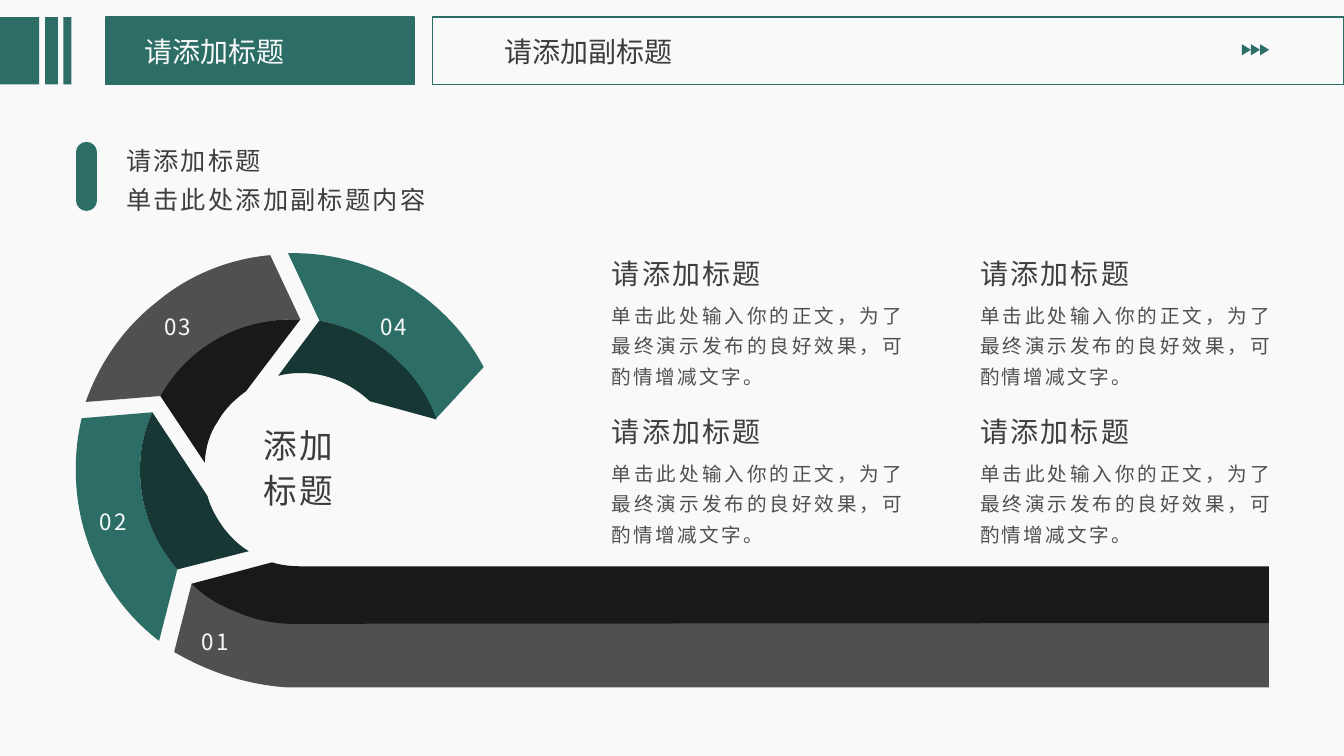
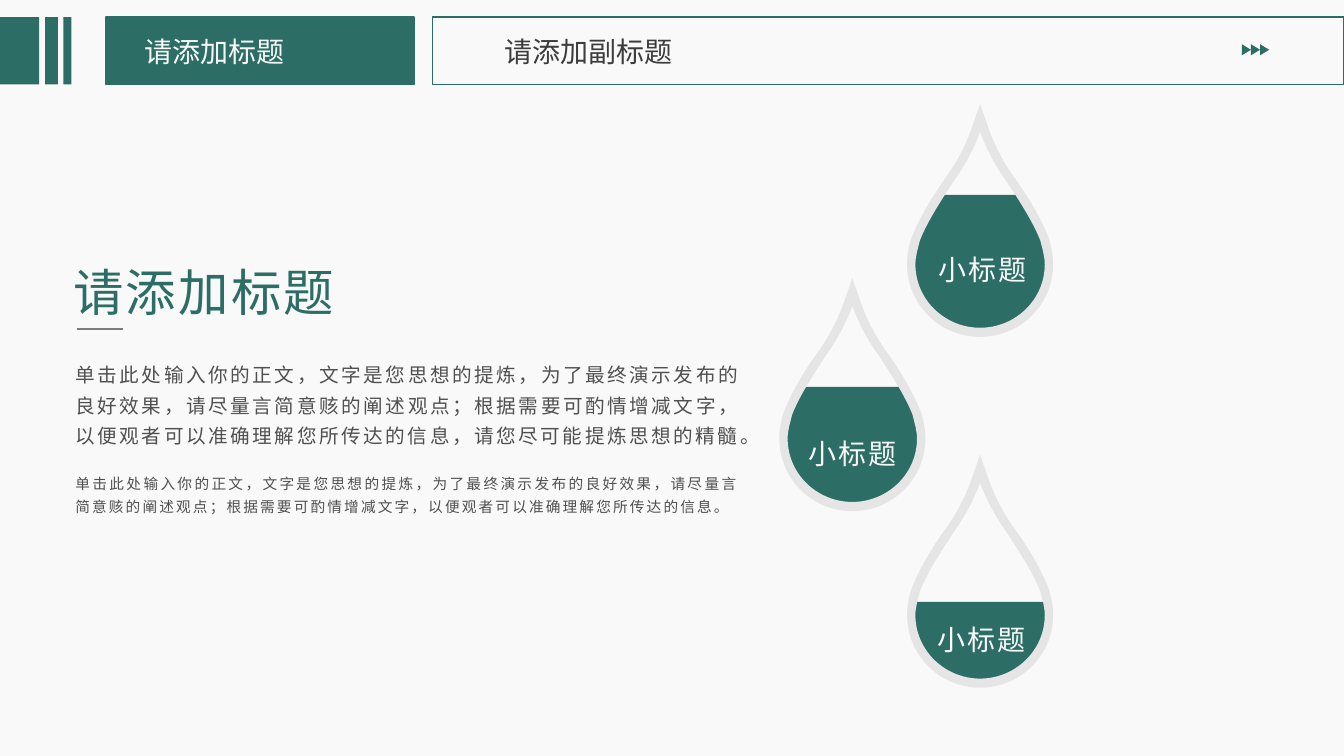
from dataclasses import dataclass
from typing import Optional

from lxml import etree
from pptx import Presentation
from pptx import util as u
from pptx.dml.color import RGBColor
from pptx.enum import shapes, text
from pptx.oxml.ns import qn


@dataclass(frozen=True)
class Theme:
    font: str = "Noto Sans CJK SC"
    paper: str = "F9F9F9"
    teal: str = "2C6E66"
    teal_dark: str = "163733"
    gray: str = "505050"
    black: str = "191919"
    ink: str = "3C3C3C"
    heading: str = "3E3E3E"
    rule: str = "7C7C7C"
    glass: str = "E5E5E5"
    display: float = 36
    center: float = 24
    title: float = 20
    intro: float = 18
    number: float = 16
    body: float = 14
    small: float = 10.5
    tracking: float = 1.6


THEME = Theme()
JUSTIFY = text.PP_ALIGN.JUSTIFY
Point = tuple[float, float]
# An outline row of two numbers is a corner; a row of six is a Bezier curve.
Outline = list[tuple[float, ...]]


@dataclass(frozen=True)
class TextStyle:
    size: float
    color: str
    align: Optional[text.PP_ALIGN] = None
    spacing: Optional[float] = 1.3
    after: Optional[float] = 6
    tracking: Optional[float] = THEME.tracking
    wrap: bool = True
    inset: bool = False


@dataclass(frozen=True)
class Segment:
    number: str
    left: float
    top: float
    face_color: str
    fold_color: str
    face: Outline
    fold: Outline


@dataclass(frozen=True)
class Drop:
    center: float
    top: float
    label_left: float
    label_top: float
    liquid: Outline


# Text styles
BAND_TITLE = TextStyle(THEME.title, THEME.paper, None, None, None, None, inset=True)
BAND_SUBTITLE = TextStyle(THEME.title, THEME.ink, None, None, None, None, inset=True)
INTRO = TextStyle(THEME.intro, THEME.heading, after=None, wrap=False)
CENTER = TextStyle(THEME.center, THEME.ink, JUSTIFY, 0.9, wrap=False)
NUMBER = TextStyle(THEME.number, THEME.paper, JUSTIFY, wrap=False)
CARD_TITLE = TextStyle(THEME.title, THEME.heading, wrap=False)
BODY = TextStyle(THEME.body, THEME.gray, JUSTIFY)
SMALL = TextStyle(THEME.small, THEME.gray, JUSTIFY)
DISPLAY = TextStyle(THEME.display, THEME.teal)
DROP_LABEL = TextStyle(THEME.title, THEME.paper)

# Ring segments
SEGMENTS = [
    Segment(
        "02", 2.51, 12.60, THEME.teal, THEME.teal_dark,
        [(3.84, 10.39), (2.06, 10.54), (1.96, 10.95, 1.91, 11.38, 1.91, 11.84),
         (1.91, 13.59, 2.72, 15.16, 4.01, 16.15), (4.47, 14.35),
         (3.89, 13.69, 3.53, 12.8, 3.53, 11.84), (3.53, 11.33, 3.63, 10.85, 3.84, 10.39)],
        [(5.23, 12.5), (3.84, 10.39), (3.63, 10.85, 3.53, 11.33, 3.53, 11.84),
         (3.53, 12.8, 3.89, 13.69, 4.47, 14.35), (6.27, 13.89),
         (6.02, 13.74, 5.82, 13.54, 5.64, 13.31), (5.46, 13.06, 5.31, 12.8, 5.23, 12.5)],
    ),
    Segment(
        "03", 4.14, 7.70, THEME.gray, THEME.black,
        [(7.37, 8.05), (7.57, 8.05), (6.81, 6.43), (5.72, 6.53, 4.72, 6.96, 3.94, 7.62),
         (3.12, 8.26, 2.51, 9.14, 2.16, 10.13), (4.04, 9.98),
         (4.37, 9.4, 4.85, 8.94, 5.41, 8.59), (5.99, 8.26, 6.65, 8.05, 7.37, 8.05)],
        [(5.16, 11.66), (5.18, 11.28, 5.28, 10.92, 5.49, 10.62),
         (5.66, 10.31, 5.92, 10.06, 6.2, 9.86), (7.57, 8.05), (7.37, 8.05),
         (5.94, 8.05, 4.7, 8.81, 4.04, 9.98)],
    ),
    Segment(
        "04", 9.58, 7.70, THEME.teal, THEME.teal_dark,
        [(10.97, 10.57), (12.19, 9.25), (11.28, 7.54, 9.47, 6.38, 7.39, 6.38),
         (7.26, 6.38), (8.05, 8.08), (8.74, 8.2, 9.35, 8.51, 9.86, 8.94),
         (10.36, 9.37, 10.74, 9.93, 10.97, 10.57)],
        [(7.59, 9.4), (8.26, 9.4, 8.86, 9.68, 9.32, 10.11), (11, 10.57),
         (10.77, 9.91, 10.36, 9.37, 9.86, 8.94), (9.35, 8.51, 8.74, 8.2, 8.05, 8.08),
         (7.01, 9.47), (7.19, 9.42, 7.39, 9.4, 7.59, 9.4)],
    ),
    Segment(
        "01", 5.08, 15.62, THEME.gray, THEME.black,
        [(4.83, 14.71), (4.39, 16.43), (5.26, 16.94, 6.22, 17.25, 7.21, 17.32),
         (7.54, 17.32), (31.98, 17.32), (31.98, 15.7), (7.39, 15.7),
         (6.91, 15.7, 6.43, 15.6, 5.99, 15.44), (5.56, 15.27, 5.18, 15.01, 4.83, 14.71)],
        [(6.86, 14.17), (4.83, 14.71), (5.16, 15.04, 5.56, 15.27, 5.99, 15.44),
         (6.43, 15.62, 6.91, 15.72, 7.39, 15.72), (31.98, 15.7), (31.98, 14.27),
         (7.54, 14.27), (7.21, 14.27, 6.93, 14.2, 6.86, 14.17)],
    ),
]

# Right halves of the drop outlines, measured from the tip
GLASS_OUTER: Outline = [
    (0, 0), (0.23, 0.66), (0.38, 1.07, 0.58, 1.45, 0.81, 1.78),
    (1.27, 2.41, 1.57, 2.97, 1.73, 3.38), (1.8, 3.61, 1.84, 3.81, 1.84, 4.04),
    (1.84, 5.05, 1.02, 5.87, 0, 5.87)]
GLASS_INNER: Outline = [
    (0, 0.7), (0, 0.7, 0.2, 1.3, 0.64, 1.91), (0.99, 2.44, 1.35, 3, 1.52, 3.45),
    (1.57, 3.66, 1.63, 3.84, 1.63, 4.04), (1.63, 4.93, 0.89, 5.64, 0, 5.64)]
LIQUID_SIDE = (1.65, 3.66, 1.68, 3.89, 1.68, 4.09)
LIQUID_BELLY = (1.68, 5, 0.91, 5.77, 0, 5.77)
DROPS = [
    Drop(24.7, 2.62, 23.65, 6.12,
         [(0.94, 2.29), (1.19, 2.69, 1.45, 3.12, 1.57, 3.48), LIQUID_SIDE, LIQUID_BELLY]),
    Drop(21.48, 7.01, 20.37, 10.74,
         [(1.22, 2.74), (1.36, 3, 1.46, 3.25, 1.57, 3.48), LIQUID_SIDE, LIQUID_BELLY]),
    Drop(24.7, 11.46, 23.62, 15.42,
         [(1.65, 3.71), (1.67, 3.83, 1.68, 3.96, 1.68, 4.09), LIQUID_BELLY]),
]


# Drawing helpers
def rgb(color: str) -> RGBColor:
    return RGBColor.from_string(color)


def pairs(row: tuple[float, ...]) -> list[Point]:
    return list(zip(row[::2], row[1::2]))


def mirror(half: Outline) -> Outline:
    full = list(half)
    for previous, row in reversed(list(zip(half, half[1:]))):
        points = pairs(row)[-2::-1] + [previous[-2:]]
        full.append(tuple(value for x, y in points for value in (-x, y)))
    return full


def paint(shape, fill: Optional[str], line: Optional[str] = None) -> None:
    shape.shadow.inherit = False
    if fill:
        shape.fill.solid()
        shape.fill.fore_color.rgb = rgb(fill)
    else:
        shape.fill.background()
    if line:
        shape.line.color.rgb = rgb(line)
        shape.line.width = u.Pt(1)
    else:
        shape.line.fill.background()


def add_outline(slide, contours: list[Outline], fill: str,
                left: float = 0, top: float = 0) -> None:
    builder = None
    for contour in contours:
        points = [(u.Cm(left + x), u.Cm(top + y)) for row in contour for x, y in pairs(row)]
        if builder is None:
            builder = slide.shapes.build_freeform(*points[0])
        else:
            builder.move_to(*points[0])
        builder.add_line_segments(points[1:], close=True)
    shape = builder.convert_to_shape()
    # Join each run of three control points into one curve
    corners = iter(list(shape._element.iter(qn("a:lnTo"))))
    for row in (row for contour in contours for row in contour[1:]):
        first, *others = [next(corners) for _ in pairs(row)]
        if others:
            first.addprevious(curve := etree.Element(qn("a:cubicBezTo")))
            for corner in (first, *others):
                curve.append(corner[0])
                corner.getparent().remove(corner)
    paint(shape, fill)


def add_preset(slide, kind, left: float, top: float, width: float, height: float,
               fill: Optional[str], line: Optional[str] = None):
    shape = slide.shapes.add_shape(kind, u.Cm(left), u.Cm(top), u.Cm(width), u.Cm(height))
    paint(shape, fill, line)
    return shape


def add_line(slide, start: Point, end: Point, color: str, width: float,
             cap: str = "flat") -> None:
    connector = slide.shapes.add_connector(
        shapes.MSO_CONNECTOR.STRAIGHT, *(u.Cm(value) for value in start + end))
    connector.line.color.rgb = rgb(color)
    connector.line.width = u.Pt(width)
    properties = connector._element.spPr
    properties.find(qn("a:ln")).set("cap", cap)
    etree.SubElement(properties, qn("a:effectLst"))


def add_text(slide, left: float, top: float, width: float, height: float,
             lines: list[str], style: TextStyle) -> None:
    box = slide.shapes.add_textbox(u.Cm(left), u.Cm(top), u.Cm(width), u.Cm(height))
    frame = box.text_frame
    frame.word_wrap = style.wrap
    frame.auto_size = text.MSO_AUTO_SIZE.SHAPE_TO_FIT_TEXT
    if not style.inset:
        frame.margin_left = frame.margin_top = frame.margin_right = frame.margin_bottom = 0
    for index, line in enumerate(lines):
        paragraph = frame.add_paragraph() if index else frame.paragraphs[0]
        paragraph.alignment = style.align
        paragraph.line_spacing = style.spacing
        if style.after is not None:
            paragraph.space_after = u.Pt(style.after)
        run = paragraph.add_run()
        run.text = line
        run.font.size = u.Pt(style.size)
        run.font.color.rgb = rgb(style.color)
        run.font.name = THEME.font
        properties = run.font._element
        if style.tracking is not None:
            properties.set("spc", str(round(style.tracking * 100)))
        etree.SubElement(properties, qn("a:ea")).set("typeface", THEME.font)


# Shared header
def add_header(slide) -> None:
    rectangle = shapes.MSO_SHAPE.RECTANGLE
    top, height = 0.43, 1.7
    add_preset(slide, rectangle, 2.67, top, 7.77, height, THEME.teal, THEME.teal)
    add_text(slide, 3.4, 0.74, 16.94, 1.12, ["请添加标题"], BAND_TITLE)
    add_preset(slide, rectangle, 10.9, top, 22.97, height, None, THEME.teal)
    add_text(slide, 12.47, 0.74, 16.94, 1.12, ["请添加副标题"], BAND_SUBTITLE)
    for left, width in ((0, 0.99), (1.14, 0.32), (1.6, 0.2)):
        add_preset(slide, rectangle, left, top, width, height, THEME.teal)
    for index in range(3):
        triangle = add_preset(slide, shapes.MSO_SHAPE.ISOSCELES_TRIANGLE,
                              31.27 + 0.23 * index, 1.14, 0.28, 0.23, THEME.teal)
        triangle.rotation = 90


# Ring slide
def fill_ring_slide(slide) -> None:
    for segment in SEGMENTS:
        add_outline(slide, [segment.face], segment.face_color)
        add_outline(slide, [segment.fold], segment.fold_color)
        add_text(slide, segment.left, segment.top, 0.79, 0.81, [segment.number], NUMBER)
    add_text(slide, 6.65, 10.82, 1.83, 2.06, ["添加", "标题"], CENTER)
    for top in (6.2, 10.19):
        for left in (15.42, 24.7):
            add_text(slide, left, top, 3.84, 1.12, ["请添加标题"], CARD_TITLE)
            add_text(slide, left, top + 1.27, 7.37, 2.26,
                     ["单击此处输入你的正文，为了最终演示发布的良好效果，可酌情增减文字。"], BODY)
    add_text(slide, 3.18, 3.43, 7.67, 2.01, ["请添加标题", "单击此处添加副标题内容"], INTRO)
    add_line(slide, (2.18, 5.05), (2.18, 3.84), THEME.teal, 15, "rnd")


# Drops slide
def fill_drops_slide(slide) -> None:
    glass = [mirror(GLASS_OUTER), mirror(GLASS_INNER)]
    for drop in DROPS:
        add_outline(slide, [mirror(drop.liquid)], THEME.teal, drop.center, drop.top)
        add_outline(slide, glass, THEME.glass, drop.center, drop.top)
        add_text(slide, drop.label_left, drop.label_top, 6.15, 1.02, ["小标题"], DROP_LABEL)
    add_text(slide, 1.85, 6.12, 21.26, 1.8, ["请添加标题"], DISPLAY)
    add_line(slide, (1.93, 8.28), (3.1, 8.28), THEME.rule, 1.5)
    opening = "单击此处输入你的正文，文字是您思想的提炼，为了最终演示发布的良好效果，请尽量言简意赅的阐述观点；"
    closing = "根据需要可酌情增减文字，以便观者可以准确理解您所传达的信息"
    add_text(slide, 1.9, 8.97, 16.76, 2.26,
             [opening + closing + "，请您尽可能提炼思想的精髓。"], BODY)
    add_text(slide, 1.9, 11.84, 16.74, 1.12, [opening + closing + "。"], SMALL)


def main() -> None:
    presentation = Presentation()
    presentation.slide_width = u.Cm(33.87)
    presentation.slide_height = u.Cm(19.05)
    background = presentation.slide_master.background.fill
    background.solid()
    background.fore_color.rgb = rgb(THEME.paper)
    for fill_slide in (fill_ring_slide, fill_drops_slide):
        slide = presentation.slides.add_slide(presentation.slide_layouts[6])
        fill_slide(slide)
        add_header(slide)
    presentation.save("out.pptx")


if __name__ == "__main__":
    main()
